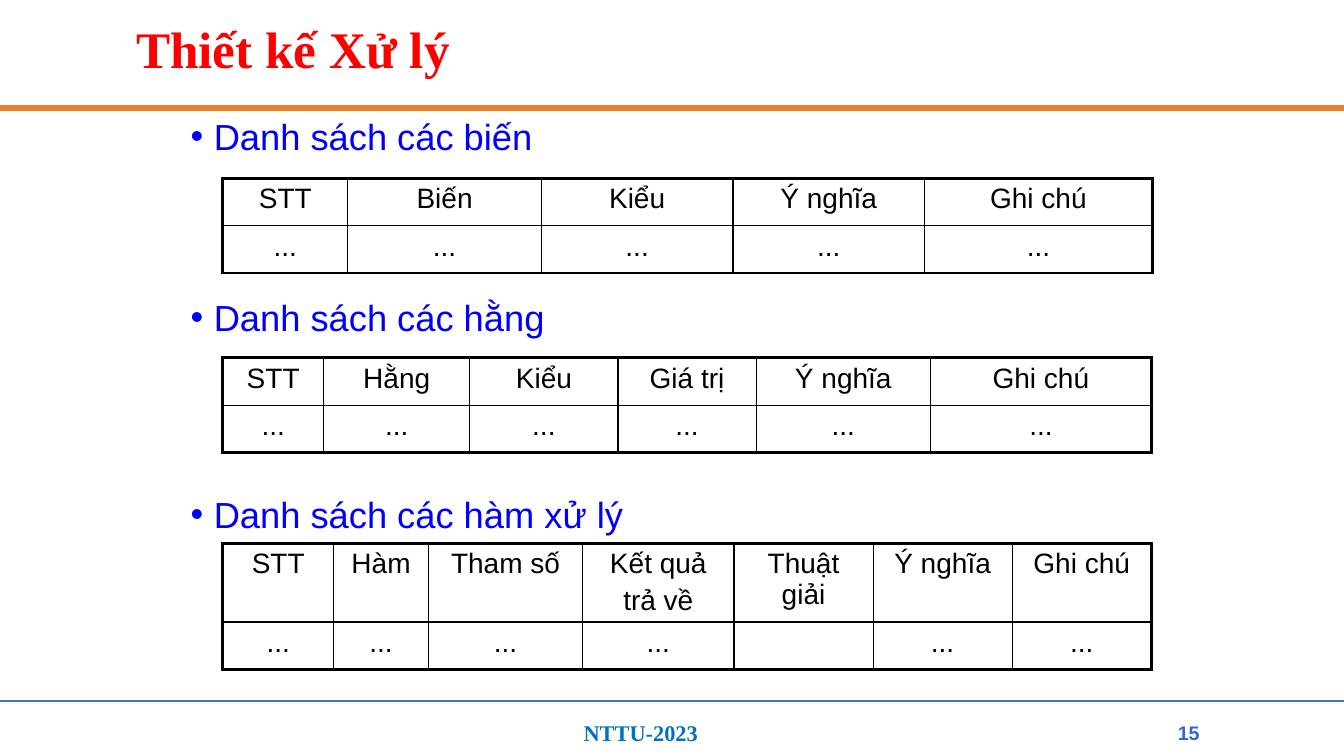
from dataclasses import dataclass

from lxml.etree import SubElement
from pptx import Presentation
from pptx.dml.color import RGBColor as Rgb
from pptx.enum.shapes import MSO_CONNECTOR as Connector
from pptx.enum.text import MSO_ANCHOR as Anchor, MSO_AUTO_SIZE as AutoSize, PP_ALIGN as Align
from pptx.oxml.ns import qn
from pptx.util import Pt

EMU_PER_PX = 9144
SLIDE_WIDTH, SLIDE_HEIGHT = 1333, 750


@dataclass(frozen=True)
class TextStyle:
    """Font, size, colour and weight of one kind of text."""
    font: str
    size: float
    color: str
    bold: bool = False


@dataclass(frozen=True)
class Theme:
    """Colours, type sizes and line weights of the slide."""
    title: TextStyle = TextStyle("Times New Roman", 36.6, "FF0000", True)
    heading: TextStyle = TextStyle("Arial", 25.9, "0000FF")
    cell: TextStyle = TextStyle("Arial", 20, "000000")
    footer: TextStyle = TextStyle("Times New Roman", 16, "0070C0", True)
    number: TextStyle = TextStyle("Arial", 14, "3167D3", True)
    header_rule: str = "ED7D31"
    footer_rule: str = "4472C4"
    border: str = "000000"
    outer_border: float = 2.25
    inner_border: float = 1


THEME = Theme()

HEADINGS = [
    ("Danh sách các biến", 9.2),
    ("Danh sách các hằng", 92),
    ("Danh sách các hàm xử lý", 103),
]
TABLES = [
    ((221, 177), (47, 47), [124, 192, 190, 190, 226],
     ["STT", "Biến", "Kiểu", "Ý nghĩa", "Ghi chú"], ["..."] * 5),
    ((221, 355), (47, 47), [100, 145, 147, 137, 173, 219],
     ["STT", "Hằng", "Kiểu", "Giá trị", "Ý nghĩa", "Ghi chú"], ["..."] * 6),
    ((221, 539), (78, 47), [110, 94, 153, 150, 138, 138, 138],
     ["STT", "Hàm", "Tham số", "Kết quả\ntrả về", "Thuật giải", "Ý nghĩa", "Ghi chú"],
     ["..."] * 4 + [""] + ["..."] * 2),
]


def px(length):
    """Turn px into EMU."""
    return length * EMU_PER_PX


def place(shape, box):
    """Move a shape into a box."""
    shape.left, shape.top, shape.width, shape.height = map(px, box)


def add_run(paragraph, text, style):
    """Add one styled run to a paragraph."""
    run = paragraph.add_run()
    run.text = text
    run.font.name, run.font.size, run.font.bold = style.font, Pt(style.size), style.bold
    run.font.color.rgb = Rgb.from_string(style.color)


def next_paragraph(frame, index):
    """Return the first paragraph of a frame, or a new one after it."""
    return frame.add_paragraph() if index else frame.paragraphs[0]


def add_title(slide, text, box):
    """Fill the title placeholder."""
    title = slide.shapes.title
    place(title, box)
    frame = title.text_frame
    frame.auto_size, frame.vertical_anchor = AutoSize.NONE, Anchor.MIDDLE
    line = frame.paragraphs[0]
    line.alignment, line.line_spacing = Align.LEFT, 0.9
    add_run(line, text, THEME.title)


def add_headings(slide, headings, box):
    """Fill the body placeholder with bulleted table headings."""
    body = slide.placeholders[1]
    place(body, box)
    frame = body.text_frame
    frame.auto_size, frame.vertical_anchor = AutoSize.NONE, Anchor.TOP
    for index, (text, gap) in enumerate(headings):
        heading = next_paragraph(frame, index)
        heading.alignment, heading.line_spacing = Align.JUSTIFY, 1.2
        heading.space_before = Pt(gap)
        properties = heading._p.get_or_add_pPr()
        properties.set("marL", str(px(23)))
        properties.set("indent", str(px(-23)))
        SubElement(properties, qn("a:buFont"), typeface="Arial")
        SubElement(properties, qn("a:buChar"), char="•")
        add_run(heading, text, THEME.heading)


def set_borders(cell, outer_sides):
    """Draw the four cell borders, heavier on the outer sides."""
    properties = cell._tc.get_or_add_tcPr()
    for position, side in enumerate("LRTB"):
        weight = THEME.outer_border if side in outer_sides else THEME.inner_border
        border = properties.makeelement(qn(f"a:ln{side}"), {"w": str(Pt(weight))})
        fill = SubElement(border, qn("a:solidFill"))
        SubElement(fill, qn("a:srgbClr"), val=THEME.border)
        properties.insert(position, border)


def fill_cell(cell, text, outer_sides):
    """Write one centred cell and draw its borders."""
    cell.fill.background()
    cell.margin_left = cell.margin_right = px(11)
    cell.margin_top = cell.margin_bottom = px(5)
    for index, words in enumerate(text.split("\n") if text else []):
        line = next_paragraph(cell.text_frame, index)
        line.alignment, line.space_before = Align.CENTER, Pt(4)
        add_run(line, words, THEME.cell)
    set_borders(cell, outer_sides)


def add_grid(slide, corner, heights, widths, *rows):
    """Add a ruled table with its top left at a corner."""
    box = map(px, (*corner, sum(widths), sum(heights)))
    table = slide.shapes.add_table(len(rows), len(widths), *box).table
    table.first_row = table.horz_banding = False
    for column, width in zip(table.columns, widths):
        column.width = px(width)
    for row, height in zip(table.rows, heights):
        row.height = px(height)
    for r, texts in enumerate(rows):
        for c, text in enumerate(texts):
            edges = {"L": c == 0, "R": c == len(widths) - 1, "T": r == 0, "B": r == len(rows) - 1}
            fill_cell(table.cell(r, c), text, [side for side, outer in edges.items() if outer])


def add_rule(slide, y, color, weight):
    """Draw a rule across the slide."""
    rule = slide.shapes.add_connector(Connector.STRAIGHT, 0, px(y), px(SLIDE_WIDTH), px(y))
    rule.line.color.rgb, rule.line.width = Rgb.from_string(color), Pt(weight)
    SubElement(rule._element.spPr, qn("a:effectLst"))


def add_label(slide, text, style, box, align, anchor):
    """Add a one-line text box."""
    frame = slide.shapes.add_textbox(*map(px, box)).text_frame
    frame.word_wrap, frame.vertical_anchor = True, anchor
    frame.paragraphs[0].alignment = align
    add_run(frame.paragraphs[0], text, style)


def add_footer(slide, box):
    """Add the footer rule, the course label and the slide number."""
    left, top, width, height = box
    add_rule(slide, top, THEME.footer_rule, 1.5)
    add_label(slide, "NTTU-2023", THEME.footer, (left + 569, top + 14, 178, 37),
              Align.LEFT, Anchor.TOP)
    add_label(slide, "15", THEME.number, (left + width - 177, top + 14, 46, 36),
              Align.CENTER, Anchor.MIDDLE)


def main():
    """Build and save the slide."""
    deck = Presentation()
    deck.slide_width, deck.slide_height = px(SLIDE_WIDTH), px(SLIDE_HEIGHT)
    slide = deck.slides.add_slide(deck.slide_layouts[1])
    add_title(slide, "Thiết kế Xử lý", (125, 23, 1083, 58))
    add_rule(slide, 107, THEME.header_rule, 4.5)
    add_headings(slide, HEADINGS, (179, 100, 975, 550))
    for grid in TABLES:
        add_grid(slide, *grid)
    add_footer(slide, (0, 695, SLIDE_WIDTH, 55))
    deck.save("out.pptx")


if __name__ == "__main__":
    main()
